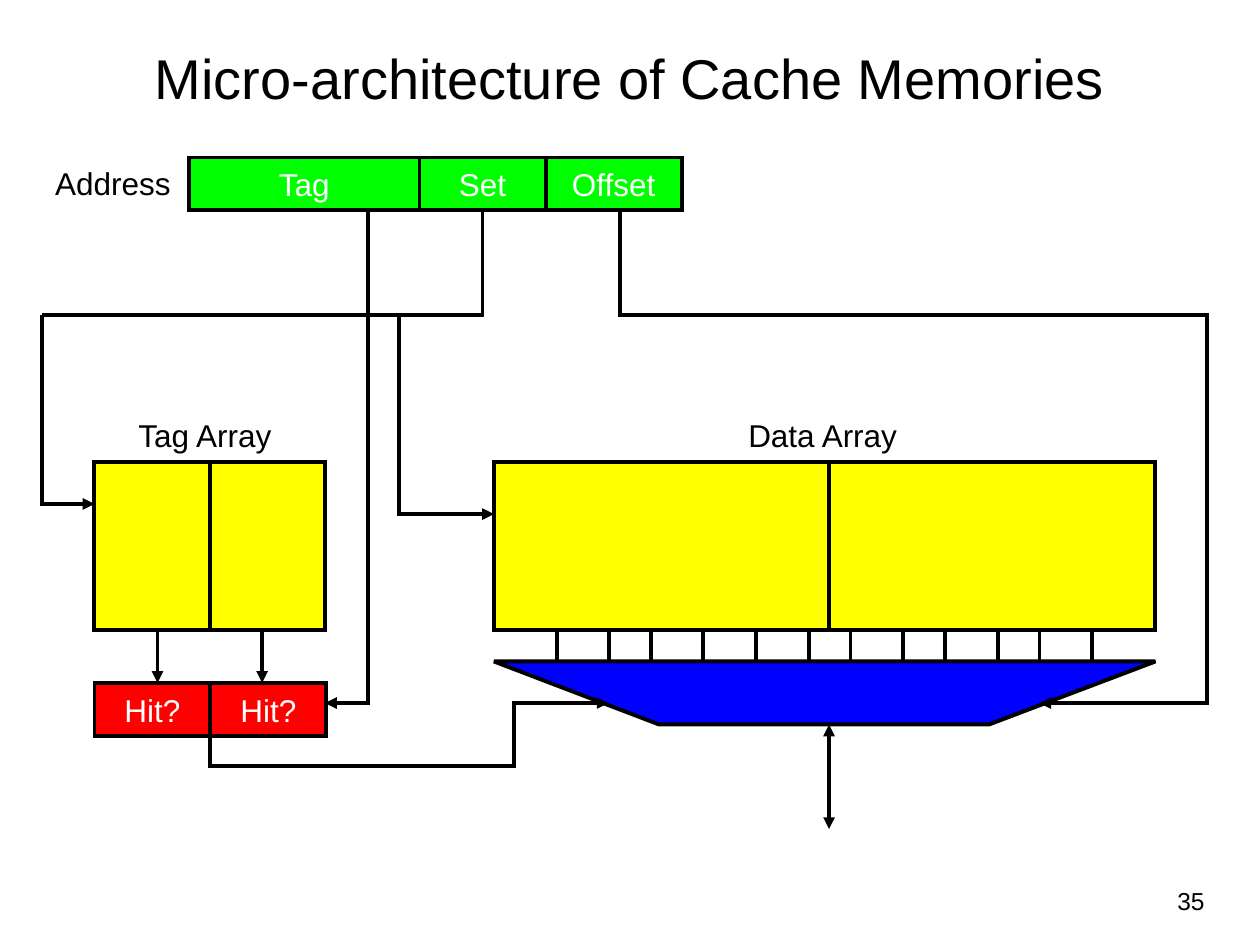
from lxml.etree import SubElement as Sub
from pptx import Presentation
from pptx.dml.color import RGBColor as RGB
from pptx.enum.shapes import MSO_CONNECTOR as Conn, MSO_SHAPE as Kind
from pptx.enum.text import MSO_ANCHOR as Anchor, MSO_AUTO_SIZE as Fit, PP_ALIGN as Align
from pptx.oxml.ns import qn
from pptx.util import Inches, Pt

BLACK = RGB(0, 0, 0)
WHITE = RGB(255, 255, 255)
GREEN = RGB(0, 255, 0)
YELLOW = RGB(255, 255, 0)
RED = RGB(255, 0, 0)
BLUE = RGB(0, 0, 255)


def ink(line, *ends):
    line.color.rgb = BLACK
    line.width = Pt(2.25)
    ln = line._ln
    Sub(ln, qn("a:miter")).set("lim", "800000")
    for end in ends:
        Sub(ln, qn(f"a:{end}End")).set("type", "triangle")


def write(frame, text, size, color, align):
    para = frame.paragraphs[0]
    para.alignment = align
    run = para.add_run()
    run.text = text
    run.font.name = "Arial"
    run.font.size = Pt(size)
    run.font.color.rgb = color


def head(slide, text):
    title = slide.shapes.title
    title.left, title.top = Inches(0.5), Inches(0.3)
    title.width, title.height = Inches(9), Inches(0.62)
    frame = title.text_frame
    frame.auto_size = Fit.NONE
    frame.vertical_anchor = Anchor.MIDDLE
    write(frame, text, 32, BLACK, Align.CENTER)


def box(slide, x, y, w, h, fill, text=None):
    shape = slide.shapes.add_shape(Kind.RECTANGLE, Inches(x), Inches(y), Inches(w), Inches(h))
    shape.shadow.inherit = False
    shape.fill.solid()
    shape.fill.fore_color.rgb = fill
    ink(shape.line)
    if text:
        frame = shape.text_frame
        frame.word_wrap = False
        frame.vertical_anchor = Anchor.MIDDLE
        write(frame, text, 18, WHITE, Align.CENTER)


def label(slide, x, y, w, h, text, size=18, align=Align.LEFT, wrap=False):
    frame = slide.shapes.add_textbox(Inches(x), Inches(y), Inches(w), Inches(h)).text_frame
    frame.word_wrap = wrap
    frame.auto_size = Fit.NONE if wrap else Fit.SHAPE_TO_FIT_TEXT
    write(frame, text, size, BLACK, align)


def wire(slide, x, top, end, *ends):
    line = slide.shapes.add_connector(Conn.STRAIGHT, Inches(x), Inches(top), Inches(x), Inches(end))
    Sub(line._element.spPr, qn("a:effectLst"))
    ink(line.line, *ends)


def route(slide, points, *ends, fill=None):
    spots = [(Inches(x), Inches(y)) for x, y in points]
    pen = slide.shapes.build_freeform(*spots[0])
    pen.add_line_segments(spots[1:], close=fill is not None)
    shape = pen.convert_to_shape()
    shape.shadow.inherit = False
    if fill is None:
        shape.fill.background()
    else:
        shape.fill.solid()
        shape.fill.fore_color.rgb = fill
    ink(shape.line, *ends)


def main():
    deck = Presentation()
    deck.slide_width, deck.slide_height = Inches(10), Inches(7.5)
    slide = deck.slides.add_slide(deck.slide_layouts[5])
    head(slide, "Micro-architecture of Cache Memories")

    for x, w in ((0.75, 1.83), (3.92, 5.25)):
        box(slide, x, 3.67, w, 1.33, YELLOW)
    route(slide, [(3.92, 5.25), (9.17, 5.25), (7.85, 5.75), (5.23, 5.75)], fill=BLUE)

    for x in (4.42, 4.83, 5.17, 5.58, 6, 6.42, 6.75, 7.17, 7.5, 7.92, 8.25, 8.67):
        wire(slide, x, 5, 5.25)

    for x, w, text in ((1.5, 1.83, "Tag"), (3.33, 1, "Set"), (4.33, 1.08, "Offset")):
        box(slide, x, 1.25, w, 0.42, GREEN, text)
    for x in (0.75, 1.67):
        box(slide, x, 5.42, 0.92, 0.42, RED, "Hit?")

    route(slide, [(3.83, 1.67), (3.83, 2.5), (3, 2.5)])
    for points in (
        [(0.33, 2.5), (0.33, 4), (0.75, 4)],
        [(0.33, 2.5), (3.17, 2.5), (3.17, 4.08), (3.92, 4.08)],
        [(4.92, 1.67), (4.92, 2.5), (9.58, 2.5), (9.58, 5.58), (8.25, 5.58)],
        [(2.92, 1.67), (2.92, 5.58), (2.58, 5.58)],
        [(1.67, 5.83), (1.67, 6.08), (4.08, 6.08), (4.08, 5.58), (4.83, 5.58)],
    ):
        route(slide, points, "tail")

    for x in (1.25, 2.08):
        wire(slide, x, 5, 5.42, "tail")
    for x in (1.67, 6.58):
        wire(slide, x, 3.67, 5)
    wire(slide, 6.58, 5.75, 6.58, "head", "tail")

    label(slide, 0.34, 1.25, 1.13, 0.4, "Address")
    label(slide, 1, 3.25, 1.3, 0.4, "Tag Array")
    label(slide, 5.84, 3.25, 1.39, 0.4, "Data Array")
    label(slide, 7.33, 6.98, 2.33, 0.35, "35", 14, Align.RIGHT, True)
    deck.save("out.pptx")


if __name__ == "__main__":
    main()
